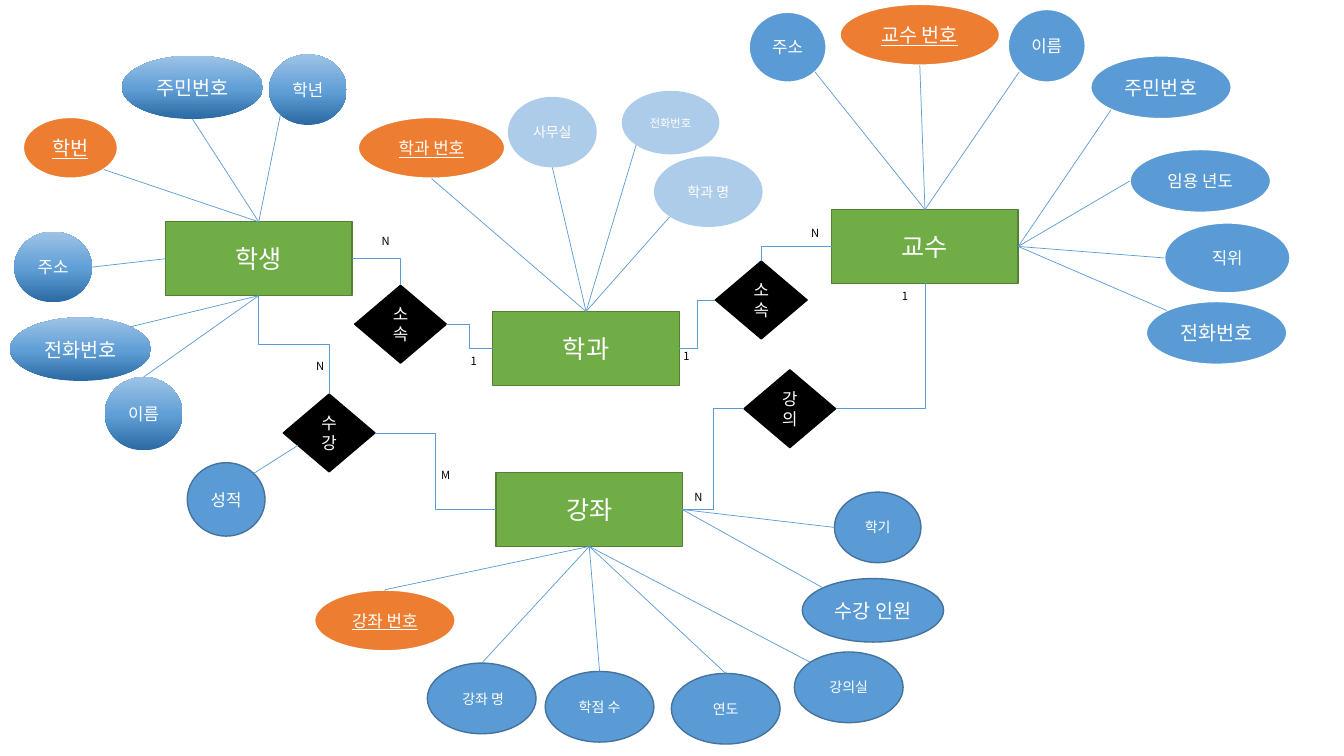
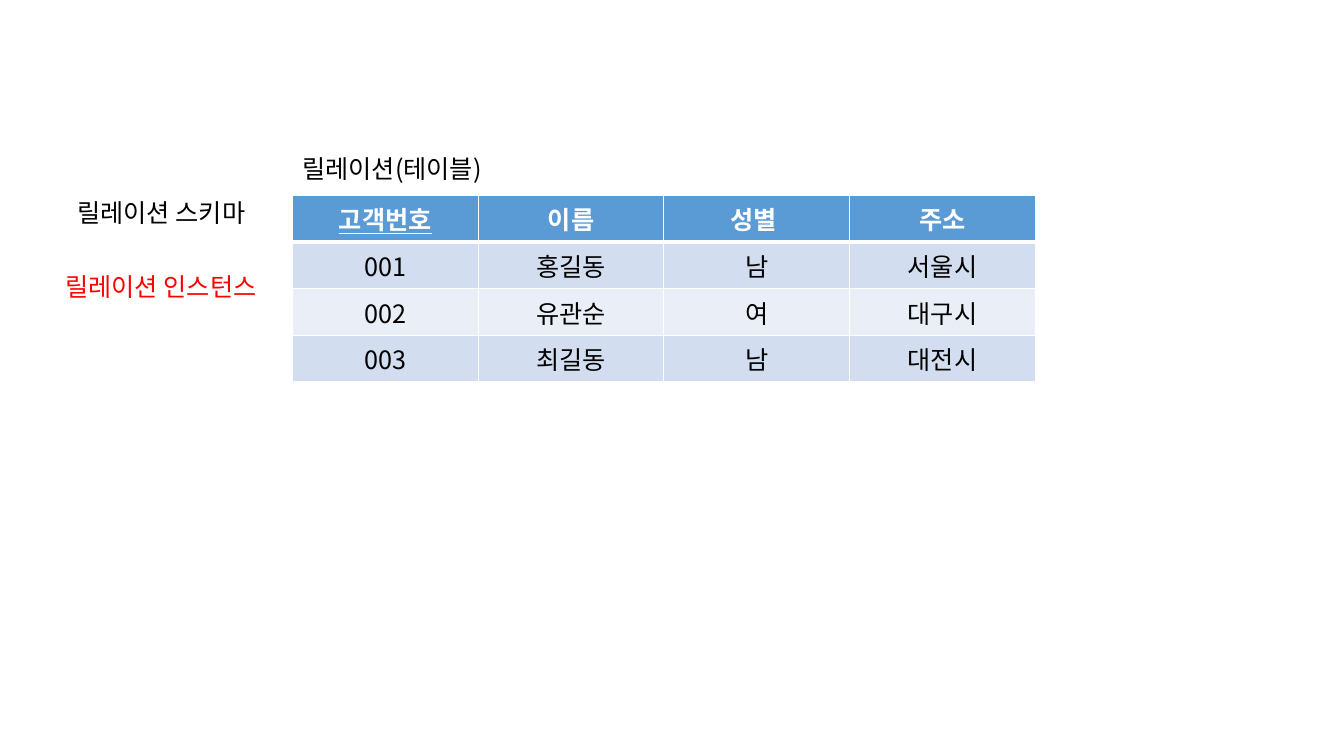
from copy import deepcopy
from math import cos, radians, sin

from lxml.etree import SubElement
from pptx import Presentation
from pptx.dml.color import RGBColor
from pptx.enum.shapes import MSO_CONNECTOR, MSO_SHAPE
from pptx.enum.text import MSO_ANCHOR, PP_ALIGN
from pptx.oxml import parse_xml
from pptx.oxml.ns import nsdecls, qn
from pptx.util import Cm, Pt

FONT = "Noto Sans CJK KR"
WHITE, BLACK, RED, BLUE = "FFFFFF", "000000", "FF0000", "5B9BD5"
TOP, LEFT, BOTTOM, RIGHT = range(4)

# Fill, outline and outline width of each kind of shape
STYLES = {
    "entity": {"fill": "70AD47", "line": "538035", "width": 1},
    "relation": {"fill": BLACK, "line": BLACK, "width": 1},
    "key": {"fill": "ED7D31", "line": WHITE, "width": 1.5},
    "plain": {"fill": BLUE, "line": WHITE, "width": 1.5},
    "outlined": {"fill": BLUE, "line": "43739E", "width": 1},
    "faded": {"fill": BLUE, "alpha": 50},
    "gradient": {"stops": [(0, "2A69A2"), (0.48, "609ED6"), (1, "9DC3E6")]},
}

# Sizes in centimetres
ENTITY_SIZE = (4.7, 1.86)
RELATION_SIZE = (2.31, 1.96)
WIDE, KEY, OVAL = (3.56, 1.6), (3.56, 1.55), (2.74, 1.78)
ROUND, TALL = (1.96, 1.78), (1.96, 1.85)

# Slide 1: name, position
ENTITIES = {
    "학생": (4.17, 5.59),
    "교수": (20.96, 5.28),
    "학과": (12.42, 7.85),
    "강좌": (12.5, 11.91),
}

# Key: (label, position)
RELATIONS = {
    "enrol": ("수강", (7.14, 9.93)),
    "teach": ("강의", (18.75, 9.32)),
    "student member": ("소속", (8.94, 7.19)),
    "professor member": ("소속", (18.03, 6.58)),
}

# Per entity: label, position, size, points, style, ellipse site, entity side.
# Ellipse sites count counter-clockwise from the top in steps of 45 degrees.
ATTRIBUTES = {
    "학생": [
        ("학번", (0.58, 2.95), (2.39, 1.55), 14, "key", 5, TOP),
        ("주민번호", (3.07, 1.4), WIDE, 14, "gradient", 4, TOP),
        ("이름", (2.64, 9.5), TALL, 12, "gradient", 0, BOTTOM),
        ("주소", (0.36, 5.84), ROUND, 12, "gradient", 6, LEFT),
        ("학년", (6.78, 1.37), ROUND, 12, "gradient", 3, TOP),
        ("전화번호", (0.25, 8), WIDE, 14, "gradient", 7, BOTTOM),
    ],
    "교수": [
        ("교수 번호", (21.16, 0.1), (4.04, 1.55), 14, "key", 4, TOP),
        ("이름", (25.4, 0.23), TALL, 12, "plain", 3, TOP),
        ("주민번호", (27.48, 1.4), WIDE, 14, "plain", 3, RIGHT),
        ("주소", (18.87, 0.3), ROUND, 12, "plain", 5, TOP),
        ("전화번호", (28.88, 7.59), WIDE, 14, "plain", 1, RIGHT),
        ("임용 년도", (28.47, 3.76), WIDE, 12, "plain", 2, RIGHT),
        ("직위", (29.34, 5.61), (3.18, 1.78), 12, "plain", 2, RIGHT),
    ],
    "학과": [
        ("학과 번호", (9.02, 2.95), (3.71, 1.55), 12, "key", 4, TOP),
        ("학과 명", (16.48, 3.94), OVAL, 10, "faded", 3, TOP),
        ("사무실", (12.8, 2.44), (2.24, 1.78), 10, "faded", 4, TOP),
        ("전화번호", (15.67, 2.29), (2.46, 1.6), 8, "faded", 3, TOP),
    ],
    "강좌": [
        ("강좌 번호", (7.92, 14.86), KEY, 12, "key", 0, BOTTOM),
        (" 강좌 명", (10.77, 16.71), OVAL, 10, "outlined", 0, BOTTOM),
        ("학점 수", (13.74, 16.92), OVAL, 10, "outlined", 0, BOTTOM),
        ("수강 인원", (20.22, 14.58), WIDE, 14, "outlined", 1, RIGHT),
        ("학기", (21.03, 12.4), (2.18, 1.78), 10, "outlined", 2, RIGHT),
        ("강의실", (20.02, 16.43), OVAL, 10, "outlined", 1, BOTTOM),
        ("연도", (16.92, 16.97), OVAL, 10, "outlined", 0, BOTTOM),
    ],
}
GRADE = ("성적", (4.72, 11.66), TALL, 12, "outlined")

# From, side, to, side, route
LINKS = [
    ("학생", BOTTOM, "enrol", TOP, "vertical"),
    ("enrol", RIGHT, "강좌", LEFT, "step"),
    ("강좌", RIGHT, "teach", LEFT, "step"),
    ("teach", RIGHT, "교수", BOTTOM, "corner"),
    ("학생", RIGHT, "student member", TOP, "corner"),
    ("student member", RIGHT, "학과", LEFT, "step"),
    ("학과", RIGHT, "professor member", LEFT, "step"),
    ("교수", LEFT, "professor member", TOP, "corner"),
]
CARDINALITIES = [
    ("N", (9.37, 5.77)), ("1", (11.61, 8.81)),
    ("N", (20.19, 5.59)), ("1", (16.97, 8.69)),
    ("N", (7.72, 8.94)), ("M", (10.87, 11.68)),
    ("N", (17.25, 12.22)), ("1", (22.48, 7.16)),
]

# Slide 2
CUSTOMERS = [
    ("고객번호", "이름", "성별 ", "주소"),
    ("001", "홍길동", "남", "서울시"),
    ("002", "유관순", "여", "대구시"),
    ("003", "최길동", "남", "대전시"),
]
ROW_FILLS = [BLUE, "D2DEEF", "EAEFF7", "D2DEEF"]
CAPTIONS = [
    ("릴레이션(테이블)", (7.37, 3.73), BLACK),
    ("릴레이션 인스턴스", (1.4, 6.71), RED),
    ("릴레이션 스키마", (1.7, 4.85), BLACK),
]


def rgb(color):
    return RGBColor.from_string(color)


def write(frame, text, size, color, align=PP_ALIGN.CENTER, **extra):
    para = frame.paragraphs[0]
    para.alignment = align
    span = para.add_run()
    span.text = text
    for name, value in {"name": FONT, "size": Pt(size), **extra}.items():
        setattr(span.font, name, value)
    span.font.color.rgb = rgb(color)
    SubElement(span.font._element, qn("a:ea"), typeface=FONT)


def paint(shape, style):
    fill = shape.fill
    if "stops" in style:
        fill.gradient()
        fill.gradient_angle = 90
        stop_list = shape._element.spPr.find(".//" + qn("a:gsLst"))
        stop_list.insert(1, deepcopy(stop_list[0]))
        for stop, (position, color) in zip(fill.gradient_stops, style["stops"]):
            stop.position = position
            stop.color.rgb = rgb(color)
    else:
        fill.solid()
        fill.fore_color.rgb = rgb(style["fill"])
    if "alpha" in style:
        color_node = shape._element.spPr.find(".//" + qn("a:srgbClr"))
        SubElement(color_node, qn("a:alpha"), val=str(style["alpha"] * 1000))
    if "line" in style:
        shape.line.color.rgb = rgb(style["line"])
        shape.line.width = Pt(style["width"])
    else:
        shape.line.fill.background()


def add_node(page, kind, text, position, size, points, style):
    shape = page.shapes.add_shape(kind, *map(Cm, position + size))
    shape.shadow.inherit = False
    paint(shape, STYLES[style])
    shape.text_frame.vertical_anchor = MSO_ANCHOR.MIDDLE
    extra = {"underline": True} if style == "key" else {}
    write(shape.text_frame, text, points, WHITE, **extra)
    return shape


def add_label(page, text, position, size, points, color):
    box = page.shapes.add_textbox(*map(Cm, position + size))
    box.text_frame.word_wrap = True
    write(box.text_frame, text, points, color, PP_ALIGN.LEFT)


def add_line(page, kind, start=(0, 0), end=(0, 0)):
    line = page.shapes.add_connector(kind, *start, *end)
    line.line.color.rgb = rgb(BLUE)
    line.line.width = Pt(0.5)
    SubElement(line._element.spPr, qn("a:effectLst"))
    return line


def ellipse_point(shape, site):
    angle = radians(90 + 45 * site)
    return (round(shape.left + shape.width / 2 * (1 + cos(angle))),
            round(shape.top + shape.height / 2 * (1 - sin(angle))))


def add_link(page, source, source_side, target, target_side, route):
    link = add_line(page, MSO_CONNECTOR.ELBOW)
    link.begin_connect(source, source_side)
    link.end_connect(target, target_side)
    properties = link._element.spPr
    if route == "corner":
        properties.find(qn("a:prstGeom")).set("prst", "bentConnector2")
    elif route == "vertical":
        # A quarter turn about the centre swaps width and height
        width, height = link.width, link.height
        shift = (width - height) // 2
        link.left, link.top = link.left + shift, link.top - shift
        link.width, link.height = height, width
        frame = properties.find(qn("a:xfrm"))
        frame.set("rot", "5400000")
        frame.set("flipV", "1")


def add_borders(cell, widths):
    properties = cell._tc.get_or_add_tcPr()
    for index, (side, width) in enumerate(widths.items()):
        properties.insert(index, parse_xml(
            f'<a:ln{side} {nsdecls("a")} w="{Pt(width)}"><a:solidFill>'
            f'<a:srgbClr val="{WHITE}"/></a:solidFill></a:ln{side}>'))


def build_diagram(page):
    # Entities and relations
    nodes = {name: add_node(page, MSO_SHAPE.RECTANGLE, name, position,
                            ENTITY_SIZE, 18, "entity")
             for name, position in ENTITIES.items()}
    for name, (text, position) in RELATIONS.items():
        nodes[name] = add_node(page, MSO_SHAPE.DIAMOND, text, position,
                               RELATION_SIZE, 12, "relation")

    # Attributes, each joined to its entity
    for entity, attributes in ATTRIBUTES.items():
        for *look, site, side in attributes:
            oval = add_node(page, MSO_SHAPE.OVAL, *look)
            point = ellipse_point(oval, site)
            line = add_line(page, MSO_CONNECTOR.STRAIGHT, point, point)
            line.end_connect(nodes[entity], side)

    # The grade belongs to the enrolment and meets its lower left edge
    grade = add_node(page, MSO_SHAPE.OVAL, *GRADE)
    enrol = nodes["enrol"]
    edge = (round(enrol.left + 0.16 * enrol.width),
            round(enrol.top + 0.66 * enrol.height))
    add_line(page, MSO_CONNECTOR.STRAIGHT, ellipse_point(grade, 7), edge)

    # Links and cardinalities
    for source, source_side, target, target_side, route in LINKS:
        add_link(page, nodes[source], source_side,
                 nodes[target], target_side, route)
    for text, position in CARDINALITIES:
        add_label(page, text, position, (0.76, 0.61), 8, BLACK)


def build_table(page):
    rows, columns = len(CUSTOMERS), len(CUSTOMERS[0])
    table = page.shapes.add_table(rows, columns, Cm(7.37), Cm(4.93),
                                  Cm(4.68 * columns), Cm(1.03 * rows)).table
    for r, values in enumerate(CUSTOMERS):
        header = r == 0
        for c, text in enumerate(values):
            cell = table.cell(r, c)
            cell.fill.solid()
            cell.fill.fore_color.rgb = rgb(ROW_FILLS[r])
            add_borders(cell, {"L": 1, "R": 1, "T": 3 if r == 1 else 1,
                               "B": 3 if header else 1})
            write(cell.text_frame, text, 18, WHITE if header else BLACK,
                  bold=header, underline=header and c == 0)
    for text, position, color in CAPTIONS:
        add_label(page, text, position, (6.9, 1.02), 18, color)


def main():
    deck = Presentation()
    deck.slide_width, deck.slide_height = Cm(33.87), Cm(19.05)
    for build in (build_diagram, build_table):
        build(deck.slides.add_slide(deck.slide_layouts[6]))
    deck.save("out.pptx")


if __name__ == "__main__":
    main()
